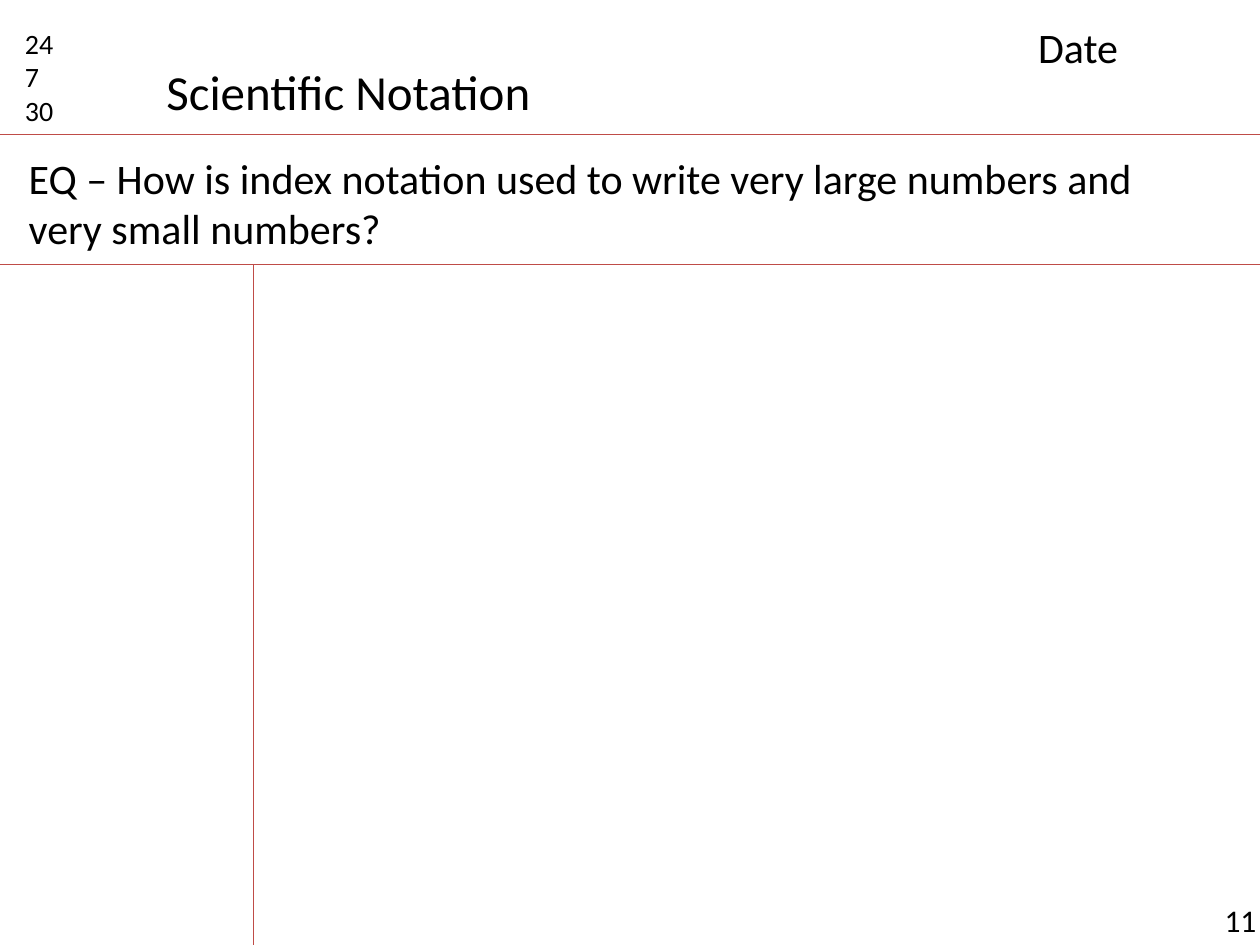
import pptx
import pptx.util
import pptx.dml.color
import pptx.enum.shapes
import pptx.enum.text
import pptx.oxml.ns
import lxml.etree

Inches = pptx.util.Inches
COLORS = {"background": "FFFFFF", "text": "000000", "rule": "BF4C48"}


def write_text(box, position, lines, size, wrap=True):
    box.left, box.top, box.width, box.height = map(Inches, position)
    frame = box.text_frame
    frame.text = "\n".join(lines)
    frame.word_wrap = wrap
    frame.auto_size = pptx.enum.text.MSO_AUTO_SIZE.NONE
    frame.vertical_anchor = pptx.enum.text.MSO_ANCHOR.TOP
    for para in frame.paragraphs:
        para.alignment = pptx.enum.text.PP_ALIGN.LEFT
        para.font.name = "Calibri"
        para.font.size = pptx.util.Pt(size)
        para.font.color.rgb = pptx.dml.color.RGBColor.from_string(COLORS["text"])


deck = pptx.Presentation()
deck.slide_width = Inches(10)
deck.slide_height = Inches(7.5)
page = deck.slides.add_slide(deck.slide_layouts[5])
page.background.fill.solid()
page.background.fill.fore_color.rgb = pptx.dml.color.RGBColor.from_string(COLORS["background"])

header_y, question_y, margin_x = 1.07, 2.1, 2.01
rules = [
    (0, header_y, 10, header_y),
    (0, question_y, 10, question_y),
    (margin_x, question_y, margin_x, 7.5),
]
for ends in rules:
    rule = page.shapes.add_connector(
        pptx.enum.shapes.MSO_CONNECTOR.STRAIGHT, *map(Inches, ends)
    )
    rule.line.color.rgb = pptx.dml.color.RGBColor.from_string(COLORS["rule"])
    rule.line.width = pptx.util.Pt(0.75)
    lxml.etree.SubElement(rule._element.spPr, pptx.oxml.ns.qn("a:effectLst"))

write_text(page.shapes.title, (1.22, 0.44, 3.13, 0.57), ["Scientific Notation"], 28, wrap=False)

question = "EQ – How is index notation used to write very large numbers and very small numbers?"
notes = [
    ((0.1, 0.16, 0.63, 0.91), ["24", "7", "30"], 16),
    ((8.14, 0.12, 1.73, 0.5), ["Date"], 24),
    ((0.13, 1.16, 9.43, 0.91), [question], 24),
    ((9.62, 7.1, 0.55, 0.4), ["11"], 18),
]
for position, lines, size in notes:
    box = page.shapes.add_textbox(*map(Inches, position))
    write_text(box, position, lines, size)

deck.save("out.pptx")
